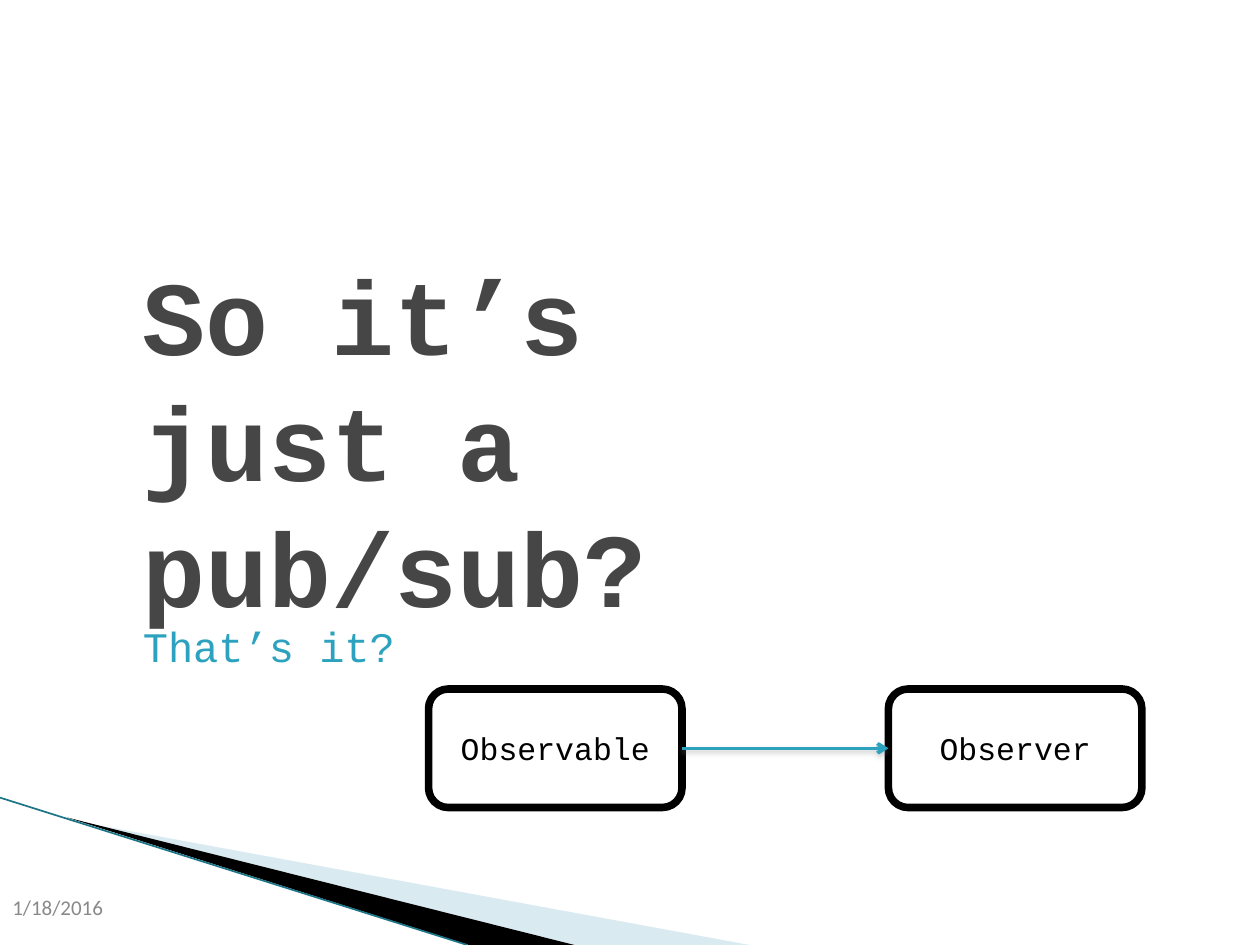
"""Build the title slide asking whether an observable is just a pub/sub."""
from lxml.etree import SubElement
from pptx import Presentation
from pptx.dml.color import RGBColor
from pptx.enum.shapes import MSO_CONNECTOR, MSO_SHAPE
from pptx.enum.text import MSO_ANCHOR, PP_ALIGN
from pptx.oxml.ns import qn
from pptx.util import Cm, Pt

WHITE = RGBColor(0xFF, 0xFF, 0xFF)
BLACK = RGBColor(0x00, 0x00, 0x00)
CHARCOAL = RGBColor(0x46, 0x46, 0x46)
GRAY = RGBColor(0x89, 0x89, 0x89)
TEAL = RGBColor(0x2D, 0xA2, 0xBF)
DEEP_TEAL = RGBColor(0x1B, 0x75, 0x87)
PALE_BLUE = RGBColor(0xA0, 0xCB, 0xDC)
CODE_FONT = "Courier New"
TITLE_MARGINS = (1, 1, 1.2, 1)
SUBTITLE_MARGINS = (1, 0, 1.2, 1)
DATE_MARGINS = (0.25, 0.13, 0.25, 0.13)


def style_text(frame, text, size, color, font=CODE_FONT, bold=False):
    frame.text = text
    paragraph = frame.paragraphs[0]
    paragraph.font.name = font
    paragraph.font.size = Pt(size)
    paragraph.font.bold = bold
    paragraph.font.color.rgb = color
    return paragraph


def add_label(slide, box, margins, anchor, *style, **options):
    frame = slide.shapes.add_textbox(*map(Cm, box)).text_frame
    frame.word_wrap = True
    frame.vertical_anchor = anchor
    (frame.margin_left, frame.margin_top,
     frame.margin_right, frame.margin_bottom) = map(Cm, margins)
    return style_text(frame, *style, **options)


def add_wedge(slide, corners, color, opacity=100):
    start, *others = [(Cm(x), Cm(y)) for x, y in corners]
    builder = slide.shapes.build_freeform(*start)
    builder.add_line_segments(others, close=True)
    wedge = builder.convert_to_shape()
    wedge.shadow.inherit = False
    wedge.fill.solid()
    wedge.fill.fore_color.rgb = color
    wedge.line.fill.background()
    if opacity < 100:
        tint = next(wedge.element.spPr.iter(qn("a:srgbClr")))
        SubElement(tint, qn("a:alpha"), val=str(opacity * 1000))


def add_role(slide, left, name):
    role = slide.shapes.add_shape(
        MSO_SHAPE.ROUNDED_RECTANGLE, Cm(left), Cm(13.89), Cm(5.11), Cm(2.39))
    role.shadow.inherit = False
    role.fill.solid()
    role.fill.fore_color.rgb = WHITE
    role.line.color.rgb = BLACK
    role.line.width = Pt(4.33)
    role.text_frame.vertical_anchor = MSO_ANCHOR.MIDDLE
    style_text(role.text_frame, name, 18, BLACK).alignment = PP_ALIGN.CENTER
    return role


def add_line(slide, start, end, color, width):
    line = slide.shapes.add_connector(
        MSO_CONNECTOR.STRAIGHT, *map(Cm, (*start, *end)))
    line.line.color.rgb = color
    line.line.width = Pt(width)
    effects = SubElement(line.element.spPr, qn("a:effectLst"))
    return line, effects


def add_flow(slide, source, target):
    flow, effects = add_line(slide, (0, 0), (1, 1), TEAL, 2)
    flow.begin_connect(source, 3)
    flow.end_connect(target, 1)
    SubElement(flow.line._get_or_add_ln(), qn("a:tailEnd"), type="arrow")
    shadow = SubElement(effects, qn("a:outerShdw"), blurRad=str(Pt(3.1)),
                        dist=str(Pt(1.6)), dir="5400000", rotWithShape="0")
    shade = SubElement(shadow, qn("a:srgbClr"), val="808080")
    SubElement(shade, qn("a:alpha"), val="38000")


def main():
    deck = Presentation()
    deck.slide_width, deck.slide_height = Cm(25.4), Cm(19.05)
    slide = deck.slides.add_slide(deck.slide_layouts[6])

    add_wedge(slide, [(1.4, 16.53), (15.11, 19.05), (11.58, 19.05)],
              PALE_BLUE, 40)
    add_wedge(slide, [(1.35, 16.48), (11.58, 19.05), (9.45, 19.05)], BLACK)
    add_line(slide, (0, 16.08), (9.42, 19.05), DEEP_TEAL, 0.95)

    add_label(slide, (1.88, 6.53, 15.27, 7.14), TITLE_MARGINS,
              MSO_ANCHOR.BOTTOM, "So it’s just a pub/sub?", 60, CHARCOAL,
              bold=True)
    subtitle = add_label(slide, (1.88, 12.5, 15.27, 2.03), SUBTITLE_MARGINS,
                         MSO_ANCHOR.TOP, "That’s it?", 24, TEAL)
    subtitle.space_before = Pt(4)
    add_label(slide, (0, 17.65, 2.41, 1.02), DATE_MARGINS,
              MSO_ANCHOR.BOTTOM, "1/18/2016", 12, GRAY, font="Calibri")

    observable = add_role(slide, 8.64, "Observable")
    observer = add_role(slide, 17.91, "Observer")
    add_flow(slide, observable, observer)
    deck.save("out.pptx")


main()
